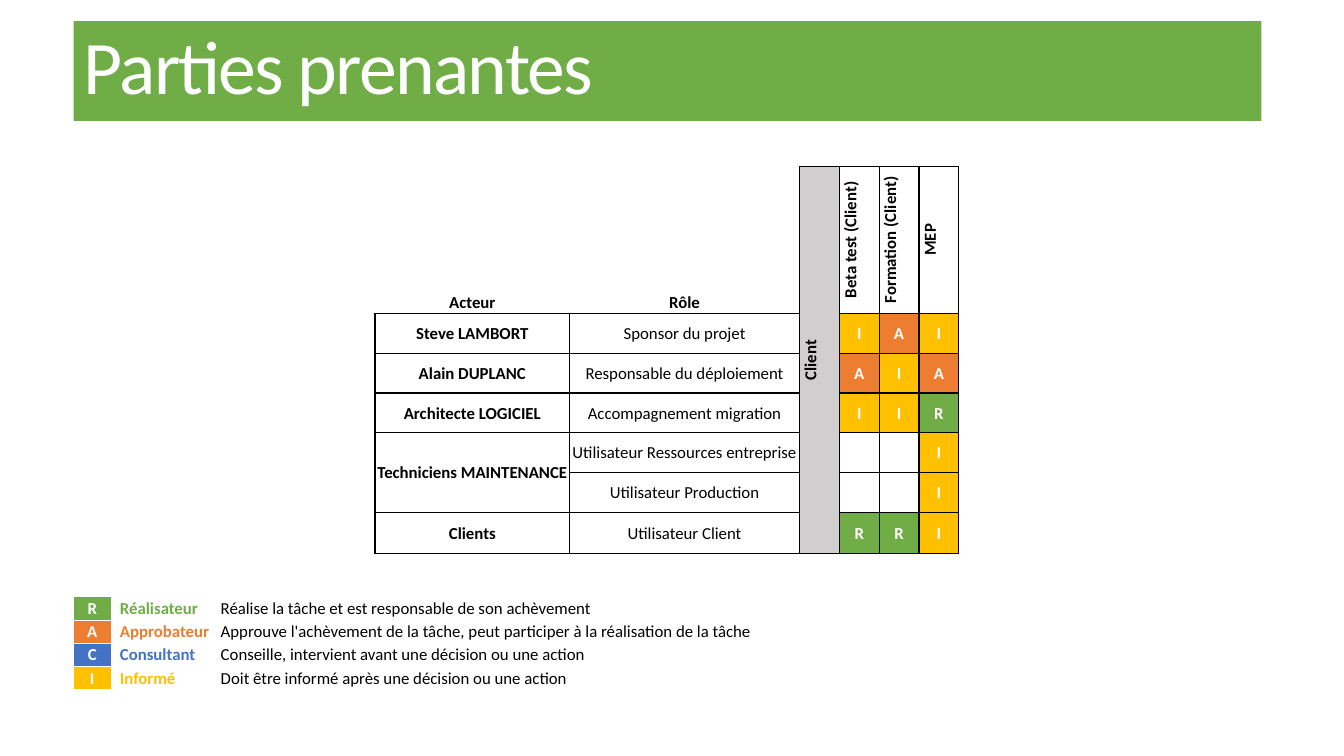
"""Build the stakeholder slide with its RACI matrix and legend."""
from pptx import Presentation
from pptx.dml.color import RGBColor
from pptx.enum.text import MSO_ANCHOR as ANCHOR, MSO_AUTO_SIZE as AUTO, PP_ALIGN as ALIGN
from pptx.oxml import parse_xml
from pptx.oxml.ns import nsdecls
from pptx.util import Inches, Pt

BLACK = RGBColor(0x00, 0x00, 0x00)
WHITE = RGBColor(0xFF, 0xFF, 0xFF)
GREY = RGBColor(0xD0, 0xCE, 0xCE)
GREEN = RGBColor(0x70, 0xAD, 0x47)
ORANGE = RGBColor(0xED, 0x7D, 0x31)
BLUE = RGBColor(0x44, 0x72, 0xC4)
YELLOW = RGBColor(0xFF, 0xC0, 0x00)
CODES = {"R": GREEN, "A": ORANGE, "C": BLUE, "I": YELLOW}

PHASES = ["Client", "Beta test (Client)", "Formation (Client)", "MEP"]
ACTORS = [
    ("Steve LAMBORT", "Sponsor du projet", "IAI"),
    ("Alain DUPLANC", "Responsable du déploiement", "AIA"),
    ("Architecte LOGICIEL", "Accompagnement migration", "IIR"),
    ("Techniciens MAINTENANCE", "Utilisateur Ressources entreprise", "  I"),
    ("", "Utilisateur Production", "  I"),
    ("Clients", "Utilisateur Client", "RRI"),
]
LEGEND = [
    ("R", "Réalisateur", "Réalise la tâche et est responsable de son achèvement"),
    ("A", "Approbateur",
     "Approuve l'achèvement de la tâche, peut participer à la réalisation de la tâche"),
    ("C", "Consultant", "Conseille, intervient avant une décision ou une action"),
    ("I", "Informé", "Doit être informé après une décision ou une action"),
]


def write(tf, text, size=12, color=BLACK, bold=False, align=ALIGN.CENTER, spacing=None, track=None):
    p = tf.paragraphs[0]
    p.alignment = align
    p.line_spacing = spacing
    p.font.size = Pt(size)
    if not text:
        return
    r = p.add_run()
    r.text = text
    r.font.name = "Calibri"
    r.font.size = Pt(size)
    r.font.bold = bold
    r.font.color.rgb = color
    if track is not None:
        r._r.get_or_add_rPr().set("spc", str(round(track * 100)))


class SlideBuilder:
    def __init__(self, prs):
        self.slide = prs.slides.add_slide(prs.slide_layouts[5])

    def title(self, text, left, top, width, height):
        sp = self.slide.shapes.title
        sp.left, sp.top, sp.width, sp.height = map(Inches, (left, top, width, height))
        sp.fill.solid()
        sp.fill.fore_color.rgb = GREEN
        tf = sp.text_frame
        tf.auto_size = AUTO.NONE
        tf.vertical_anchor = ANCHOR.MIDDLE
        write(tf, text, size=54, color=WHITE, align=ALIGN.LEFT, spacing=0.85, track=-1.2)

    def table(self, left, top, cols, rows):
        box = map(Inches, (left, top, sum(cols), sum(rows)))
        tbl = self.slide.shapes.add_table(len(rows), len(cols), *box).table
        tbl.first_row = tbl.horz_banding = False
        for col, width in zip(tbl.columns, cols):
            col.width = Inches(width)
        for row, height in zip(tbl.rows, rows):
            row.height = Inches(height)
        return tbl

    def cell(self, cell, text, fill=None, sides="LRTB", line=BLACK, weight=1,
             anchor=ANCHOR.MIDDLE, inset=0.01, upright=False, **fmt):
        tcPr = cell._tc.get_or_add_tcPr()
        for side in "LRTB":
            paint = (f'<a:solidFill><a:srgbClr val="{line}"/></a:solidFill>'
                     if side in sides else "<a:noFill/>")
            tcPr.append(parse_xml(
                f'<a:ln{side} {nsdecls("a")} w="{Pt(weight)}">{paint}</a:ln{side}>'))
        if fill is None:
            cell.fill.background()
        else:
            cell.fill.solid()
            cell.fill.fore_color.rgb = fill
        if upright:
            tcPr.set("vert", "vert270")
        cell.vertical_anchor = anchor
        cell.margin_left = Inches(inset)
        cell.margin_right = cell.margin_top = Inches(0.01)
        cell.margin_bottom = 0
        write(cell.text_frame, text, **fmt)

    def matrix(self, left, top):
        phase_width = row_height = 0.395
        tbl = self.table(left, top, [1.93, 2.28] + [phase_width] * len(PHASES),
                         [1.46] + [row_height] * len(ACTORS))
        for c, (text, sides) in enumerate([("Acteur", "B"), ("Rôle", "RB")]):
            self.cell(tbl.cell(0, c), text, sides=sides, anchor=ANCHOR.BOTTOM, bold=True)
        for c, phase in enumerate(PHASES, 2):
            self.cell(tbl.cell(0, c), phase, fill=GREY if c == 2 else None,
                      upright=True, bold=True)
        for i, (actor, role, codes) in enumerate(ACTORS, 1):
            self.cell(tbl.cell(i, 0), actor, bold=True)
            self.cell(tbl.cell(i, 1), role)
            self.cell(tbl.cell(i, 2), "", fill=GREY)
            for c, code in enumerate(codes, 3):
                self.cell(tbl.cell(i, c), code.strip(), fill=CODES.get(code),
                          color=WHITE, bold=True)
        tbl.cell(0, 2).merge(tbl.cell(len(ACTORS), 2))
        tbl.cell(4, 0).merge(tbl.cell(5, 0))

    def legend(self, left, top):
        tbl = self.table(left, top, [0.37, 1.08, 5.53], [0.23] * len(LEGEND))
        for i, (code, name, meaning) in enumerate(LEGEND):
            edge = dict(line=WHITE, weight=0.5)
            self.cell(tbl.cell(i, 0), code, fill=CODES[code], color=WHITE, bold=True, **edge)
            self.cell(tbl.cell(i, 1), name, sides="L", inset=0.09, color=CODES[code],
                      bold=True, align=ALIGN.LEFT, **edge)
            self.cell(tbl.cell(i, 2), meaning, sides="", align=ALIGN.LEFT)


def main():
    prs = Presentation()
    prs.slide_width, prs.slide_height = Inches(13.33), Inches(7.5)
    s = SlideBuilder(prs)
    s.title("Parties prenantes", 0.73, 0.21, 11.78, 0.99)
    s.matrix(3.72, 1.65)
    s.legend(0.73, 5.92)
    prs.save("out.pptx")


if __name__ == "__main__":
    main()
